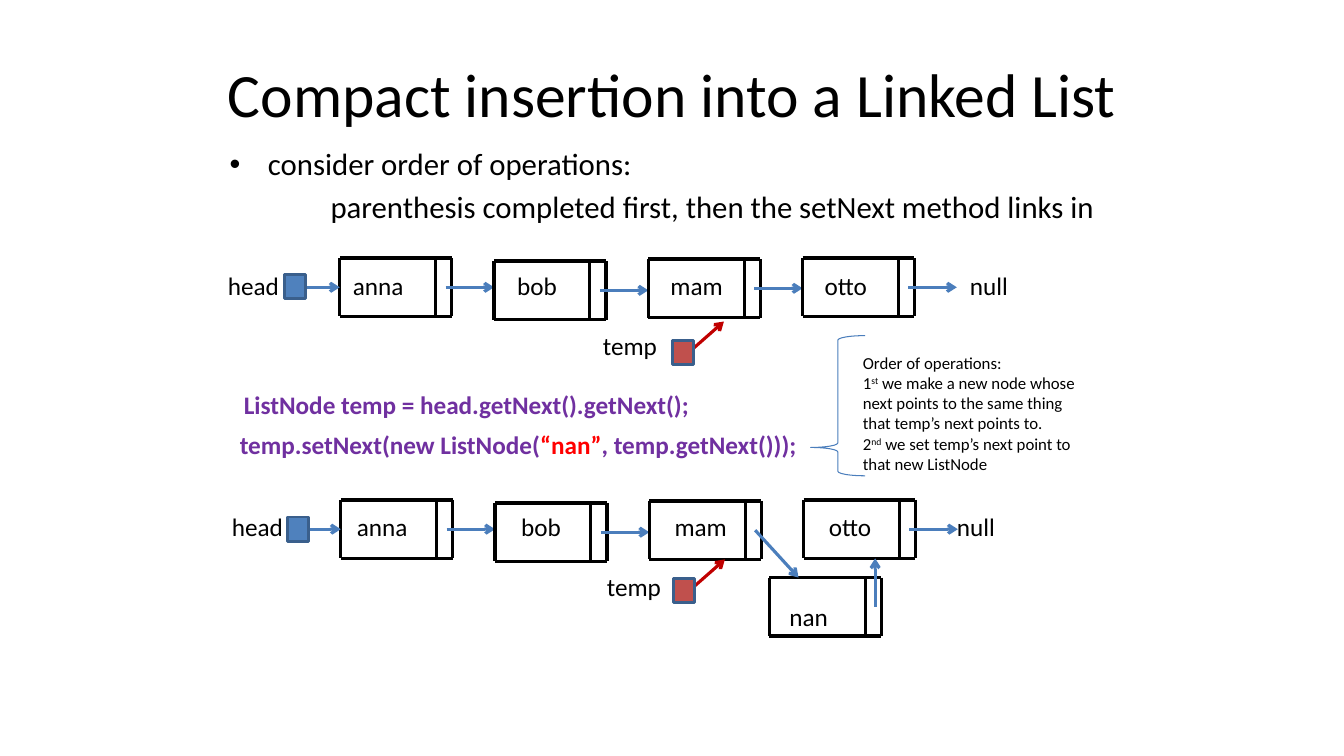
from dataclasses import dataclass

from lxml.etree import SubElement
from pptx import Presentation
from pptx.dml.color import RGBColor
from pptx.enum.shapes import MSO_CONNECTOR as Link, MSO_SHAPE as Preset
from pptx.enum.text import MSO_ANCHOR as Anchor, PP_ALIGN as Align
from pptx.oxml.ns import qn
from pptx.shapes.autoshape import Shape
from pptx.slide import Slide
from pptx.text.text import _Run as Run
from pptx.util import Inches, Pt

BLACK = RGBColor(0x00, 0x00, 0x00)
BLUE = RGBColor(0x4F, 0x81, 0xBD)
ARROW_BLUE = RGBColor(0x4B, 0x7E, 0xBC)
EDGE_BLUE = RGBColor(0x3A, 0x5F, 0x8C)
RED = RGBColor(0xC0, 0x50, 0x4D)
ARROW_RED = RGBColor(0xC0, 0x00, 0x00)
PURPLE = RGBColor(0x70, 0x30, 0xA0)
BRIGHT_RED = RGBColor(0xFF, 0x00, 0x00)

NODE_WIDTH, NODE_HEIGHT = 1.11, 0.58
NODE_STEP, DIVIDER, LINK_START, LINK_LENGTH = 1.53, 0.95, 1.05, 0.48
NODE_DROPS = (0, 0.03, 0.01, 0)


@dataclass(frozen=True)
class Area:
    left: float
    top: float
    width: float
    height: float


@dataclass(frozen=True)
class Style:
    size: float
    color: RGBColor = BLACK
    bold: bool = False
    baseline: int = 0


@dataclass(frozen=True)
class Span:
    text: str
    style: Style


@dataclass(frozen=True)
class Label:
    text: str
    left: float
    top: float


@dataclass(frozen=True)
class ListRow:
    left: float
    top: float
    label_left: float
    label_top: float
    null_left: float
    head_square: tuple[float, float]
    temp_square: tuple[float, float]
    linked: tuple[int, ...]


TITLE, BODY, LABEL = Style(44), Style(22), Style(18)
CODE, LITERAL = Style(18, PURPLE, True), Style(18, BRIGHT_RED, True)
NOTE, ORDINAL = Style(12), Style(12, baseline=30000)

LABEL_OFFSETS = {"head": 0, "anna": 1.24, "bob": 2.87, "mam": 4.39, "otto": 5.92}
TEMP_OFFSET = (3.72, 0.6)

ROWS = (
    ListRow(3.37, 2.56, 2.26, 2.68, 9.62, (2.82, 2.72), (6.67, 3.38), (0, 1, 2, 3)),
    ListRow(3.38, 4.96, 2.30, 5.07, 9.49, (2.85, 5.13), (6.68, 5.74), (0, 1, 3)),
)


def format_run(run: Run, style: Style) -> None:
    run.font.name = "Calibri"
    run.font.size = Pt(style.size)
    run.font.bold = style.bold
    run.font.color.rgb = style.color
    if style.baseline:
        run.font._element.set("baseline", str(style.baseline))


def add_text(page: Slide, area: Area, paragraphs: list[list[Span]],
             wrap: bool = True, inset: bool = True) -> Shape:
    box = page.shapes.add_textbox(Inches(area.left), Inches(area.top),
                                  Inches(area.width), Inches(area.height))
    frame = box.text_frame
    frame.word_wrap = wrap
    if not inset:
        frame.margin_left = frame.margin_right = 0
        frame.margin_top = frame.margin_bottom = 0
    frame.text = "\n".join(spans[0].text for spans in paragraphs)
    for para, spans in zip(frame.paragraphs, paragraphs):
        for span in spans[1:]:
            para.add_run().text = span.text
        for run, span in zip(para.runs, spans):
            format_run(run, span.style)
    return box


def add_label(page: Slide, label: Label) -> None:
    add_text(page, Area(label.left, label.top, 0.6, 0.3),
             [[Span(label.text, LABEL)]], wrap=False, inset=False)


def add_line(page: Slide, start: tuple[float, float], end: tuple[float, float],
             color: RGBColor = BLACK, arrow: bool = False) -> None:
    line = page.shapes.add_connector(Link.STRAIGHT, *map(Inches, start + end))
    line.line.color.rgb = color
    line.line.width = Pt(2.25)
    if arrow:
        SubElement(line.line._get_or_add_ln(), qn("a:tailEnd"), type="arrow")
    SubElement(line._element.spPr, qn("a:effectLst"))


def add_outline(page: Slide, preset: Preset, area: Area, color: RGBColor,
                width: float) -> Shape:
    shape = page.shapes.add_shape(preset, Inches(area.left), Inches(area.top),
                                  Inches(area.width), Inches(area.height))
    shape.shadow.inherit = False
    shape.fill.background()
    shape.line.color.rgb = color
    shape.line.width = Pt(width)
    return shape


def add_square(page: Slide, corner: tuple[float, float], color: RGBColor) -> None:
    square = add_outline(page, Preset.RECTANGLE, Area(*corner, 0.21, 0.24), EDGE_BLUE, 2)
    square.fill.solid()
    square.fill.fore_color.rgb = color


def add_node(page: Slide, left: float, top: float) -> None:
    right, bottom = left + NODE_WIDTH, top + NODE_HEIGHT
    for y in (top, bottom):
        add_line(page, (left, y), (right, y))
    for x in (left, left + DIVIDER, right):
        add_line(page, (x, top), (x, bottom))


def add_row(page: Slide, row: ListRow) -> None:
    for index, drop in enumerate(NODE_DROPS):
        left, top = row.left + index * NODE_STEP, row.top + drop
        add_node(page, left, top)
        if index in row.linked:
            start, middle = left + LINK_START, top + NODE_HEIGHT / 2
            add_line(page, (start, middle), (start + LINK_LENGTH, middle),
                     ARROW_BLUE, arrow=True)
    middle = row.top + NODE_HEIGHT / 2
    add_line(page, (row.left - LINK_LENGTH, middle), (row.left, middle),
             ARROW_BLUE, arrow=True)
    square_left, square_top = row.temp_square
    add_line(page, (square_left + 0.18, square_top + 0.1),
             (square_left + 0.51, square_top - 0.19), ARROW_RED, arrow=True)
    add_square(page, row.head_square, BLUE)
    add_square(page, row.temp_square, RED)
    for text, offset in LABEL_OFFSETS.items():
        add_label(page, Label(text, row.label_left + offset, row.label_top))
    add_label(page, Label("null", row.null_left, row.label_top))
    add_label(page, Label("temp", row.label_left + TEMP_OFFSET[0],
                          row.label_top + TEMP_OFFSET[1]))


def add_heading(page: Slide) -> None:
    title = add_text(page, Area(0.67, 0.3, 12, 1.25),
                     [[Span("Compact insertion into a Linked List", TITLE)]])
    title.text_frame.vertical_anchor = Anchor.MIDDLE
    title.text_frame.paragraphs[0].alignment = Align.CENTER
    body = add_text(page, Area(2.18, 1.39, 9, 1.33), [
        [Span("consider order of operations:", BODY)],
        [Span("parenthesis completed first, then the setNext method links in", BODY)],
    ])
    for para, margin, indent in zip(body.text_frame.paragraphs, (0.38, 1), (-0.38, 0)):
        para.space_before = Pt(4.4)
        properties = para._p.get_or_add_pPr()
        properties.set("marL", str(Inches(margin)))
        properties.set("indent", str(Inches(indent)))
        if indent:
            SubElement(properties, qn("a:buFont"), typeface="Arial")
            SubElement(properties, qn("a:buChar"), char="•")


def add_code(page: Slide) -> None:
    add_text(page, Area(2.32, 3.81, 4.66, 0.4),
             [[Span("ListNode temp = head.getNext().getNext();", CODE)]], wrap=False)
    add_text(page, Area(2.28, 4.21, 5.76, 0.4),
             [[Span("temp.setNext(new ListNode(", CODE), Span("“nan”", LITERAL),
               Span(", temp.getNext()));", CODE)]], wrap=False)
    brace = add_outline(page, Preset.LEFT_BRACE, Area(8.04, 3.33, 0.54, 1.39),
                        ARROW_BLUE, 0.75)
    brace.adjustments[0], brace.adjustments[1] = 0.083, 0.798
    add_text(page, Area(8.46, 3.45, 2.46, 1.31), [
        [Span("Order of operations:", NOTE)],
        [Span("1", NOTE), Span("st", ORDINAL),
         Span(" we make a new node whose next points to the same thing "
              "that temp’s next points to.", NOTE)],
        [Span("2", NOTE), Span("nd", ORDINAL),
         Span(" we set temp’s next point to that new ListNode", NOTE)],
    ])


def main() -> None:
    deck = Presentation()
    deck.slide_width, deck.slide_height = Inches(13.33), Inches(7.5)
    page = deck.slides.add_slide(deck.slide_layouts[6])
    add_heading(page)
    for row in ROWS:
        add_row(page, row)
    add_node(page, 7.63, 5.73)
    add_line(page, (7.49, 5.26), (7.92, 5.73), ARROW_BLUE, arrow=True)
    add_line(page, (8.68, 6.02), (8.68, 5.54), ARROW_BLUE, arrow=True)
    add_label(page, Label("nan", 7.83, 5.97))
    add_code(page)
    deck.save("out.pptx")


if __name__ == "__main__":
    main()
